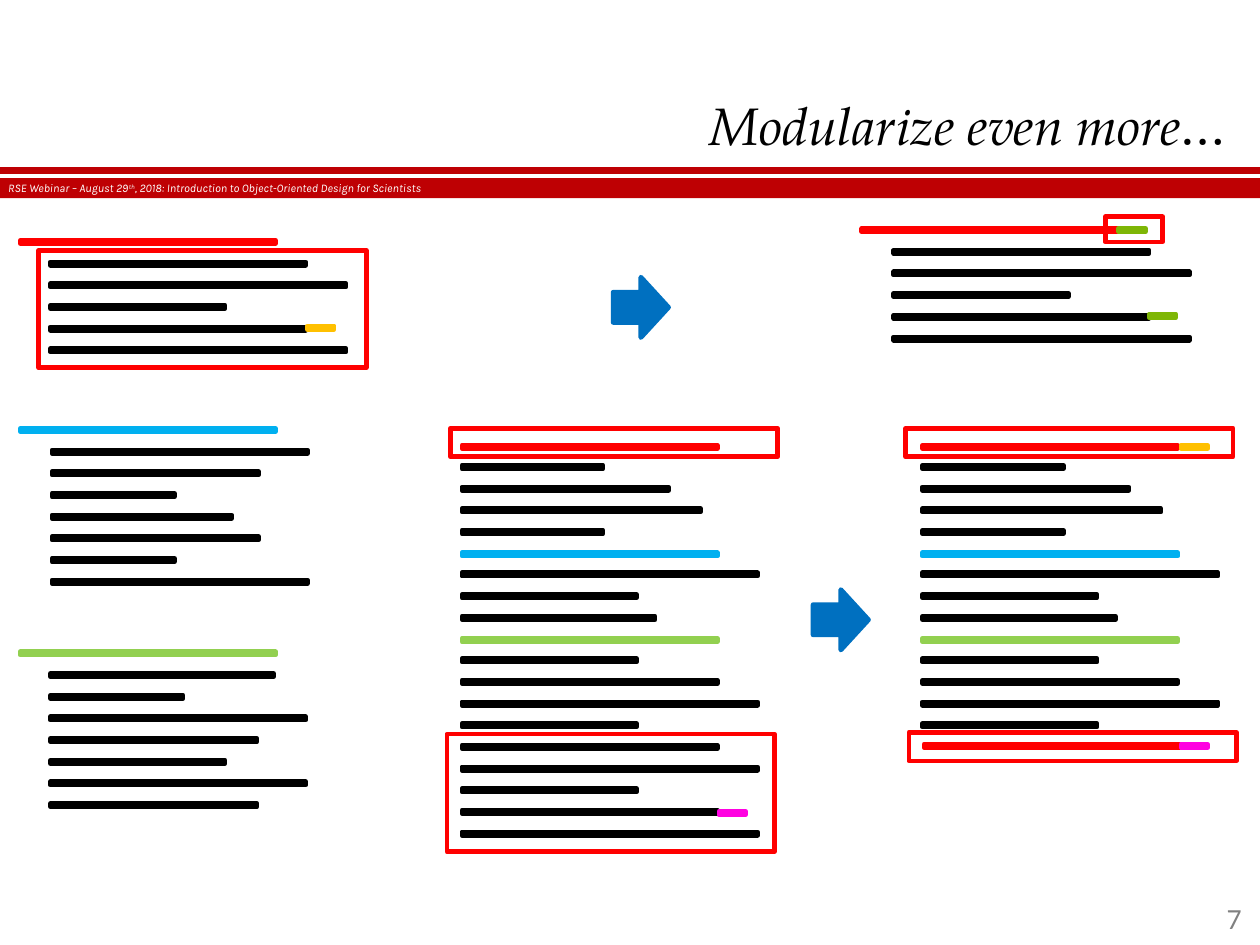
from lxml.etree import SubElement
from pptx import Presentation
from pptx.dml.color import RGBColor
from pptx.enum.shapes import MSO_CONNECTOR, MSO_SHAPE
from pptx.enum.text import MSO_ANCHOR, MSO_AUTO_SIZE, PP_ALIGN
from pptx.oxml.ns import qn
from pptx.util import Inches, Pt

WIDTH = 7.5
HEIGHT = WIDTH * 3 / 4
COLUMNS = 750
ROWS = COLUMNS * 3 / 4
LINE_STEP = 12.9
HEADER = 152
PARAMETER = 16

COLORS = {
    "banner": "BE0003", "white": "FFFFFF", "black": "000000", "gray": "808080",
    "red": "FF0000", "blue": "00B0F0", "green": "92D050", "olive": "7EB606",
    "amber": "FFC000", "magenta": "FF01E1", "arrow": "0070C0",
}

ROUTINE = [152, 176, 104, 152, 176]
SETUP = [84, 123, 142, 84]
MIDDLE = [176, 104, 115]
ENDING = [104, 152, 176, 104]


class SlideBuilder:
    def __init__(self, deck):
        self.page = deck.slides.add_slide(deck.slide_layouts[5])
        self.shapes = self.page.shapes

    def color(self, name):
        return RGBColor.from_string(COLORS[name])

    def place(self, column, row, columns, rows):
        across, down = WIDTH / COLUMNS, HEIGHT / ROWS
        return (Inches(column * across), Inches(row * down),
                Inches(columns * across), Inches(rows * down))

    def start_group(self):
        self.shapes = self.page.shapes.add_group_shape().shapes

    def end_group(self):
        self.shapes = self.page.shapes

    def style_font(self, font, name, size, color, italic=False):
        font.name, font.size, font.italic = name, Pt(size), italic
        font.color.rgb = self.color(color)

    def title(self, text):
        box = self.page.shapes.title
        box.left, box.top, box.width, box.height = self.place(0, 0, COLUMNS, 98)
        frame = box.text_frame
        frame.text = text
        frame.auto_size = MSO_AUTO_SIZE.NONE
        frame.vertical_anchor = MSO_ANCHOR.BOTTOM
        frame.margin_left = frame.margin_right = Inches(0.2)
        frame.margin_top = frame.margin_bottom = Inches(0.05)
        para = frame.paragraphs[0]
        para.alignment = PP_ALIGN.RIGHT
        self.style_font(para.font, "TeX Gyre Pagella", 22.5, "black", True)

    def text(self, spans, area, name, size, color, italic=False, align=PP_ALIGN.LEFT):
        frame = self.shapes.add_textbox(*self.place(*area)).text_frame
        frame.word_wrap = True
        para = frame.paragraphs[0]
        para.alignment = align
        self.style_font(para.font, name, size, color, italic)
        for words, baseline in spans:
            span = para.add_run()
            span.text = words
            if baseline:
                span._r.get_or_add_rPr().set("baseline", str(baseline))

    def shape(self, kind, area, fill=None, line=None):
        shape = self.shapes.add_shape(kind, *self.place(*area))
        shape.shadow.inherit = False
        if fill:
            shape.fill.solid()
            shape.fill.fore_color.rgb = self.color(fill)
        else:
            shape.fill.background()
        if line:
            shape.line.color.rgb = self.color(line)
            shape.line.width = Pt(2)
            SubElement(shape.line._get_or_add_ln(), qn("a:round"))
        else:
            shape.line.fill.background()

    def rule(self, row, color, width):
        left, top, length, _ = self.place(0, row, COLUMNS, 0)
        rule = self.shapes.add_connector(MSO_CONNECTOR.STRAIGHT, left, top, left + length, top)
        rule.line.color.rgb = self.color(color)
        rule.line.width = Pt(width)
        SubElement(rule._element.spPr, qn("a:effectLst"))

    def bar(self, column, row, length, color):
        self.shape(MSO_SHAPE.RECTANGLE, (column, row, length, 2), color, color)

    def section(self, column, row, color, lengths, indent=0, gap=LINE_STEP):
        self.bar(column, row, HEADER, color)
        for index, length in enumerate(lengths):
            self.bar(column + indent, row + gap + index * LINE_STEP, length, "black")

    def listing(self, column, ending):
        for row, color, lengths in ((265, "red", SETUP), (329, "blue", MIDDLE), (380, "green", ending)):
            self.section(column, row, color, lengths, gap=12)

    def highlight(self, column, row, columns, rows):
        self.shape(MSO_SHAPE.RECTANGLE, (column, row, columns, rows), line="red")

    def arrow(self, column, row):
        self.shape(MSO_SHAPE.RIGHT_ARROW, (column, row, 33, 36), "arrow", "arrow")


def main():
    deck = Presentation()
    deck.slide_width, deck.slide_height = Inches(WIDTH), Inches(HEIGHT)
    slide = SlideBuilder(deck)

    slide.shape(MSO_SHAPE.RECTANGLE, (0, 106, COLUMNS, 12), "banner")
    slide.rule(101.5, "banner", 3)
    slide.text([("RSE Webinar – August 29", 0), ("th", 30000),
                (", 2018: Introduction to Object-Oriented Design for Scientists", 0)],
               (-5, 103, COLUMNS, 19), "Karla", 5, "white", True)
    slide.text([("7", 0)], (668, 533, 81, 30), "Lato", 11.2, "gray", align=PP_ALIGN.RIGHT)
    slide.title("Modularize even more…")

    slide.section(12, 143, "red", ROUTINE, indent=18)
    slide.bar(183, 194, PARAMETER, "amber")
    slide.highlight(23, 149, 195, 70)
    slide.section(12, 255, "blue", [152, 123, 73, 107, 123, 73, 152], indent=19)
    slide.section(12, 388, "green", [133, 79, 152, 123, 104, 152, 123], indent=18)

    slide.listing(275, ENDING + ROUTINE)
    slide.bar(428, 483, PARAMETER, "magenta")
    slide.highlight(266, 437, 195, 70)
    slide.highlight(268, 255, 195, 17)
    slide.arrow(484, 351)

    slide.start_group()
    slide.listing(549, ENDING)
    slide.bar(703, 265, PARAMETER, "amber")
    slide.bar(550, 443, HEADER, "red")
    slide.bar(703, 443, PARAMETER, "magenta")
    slide.end_group()
    slide.highlight(539, 255, 195, 17)
    slide.highlight(541, 436, 195, 17)

    slide.start_group()
    slide.section(513, 136, "red", ROUTINE, indent=19)
    slide.bar(684, 187, PARAMETER, "olive")
    slide.highlight(658, 129, 34, 15)
    slide.bar(666, 136, PARAMETER, "olive")
    slide.end_group()
    slide.arrow(365, 165)

    deck.save("out.pptx")


if __name__ == "__main__":
    main()
